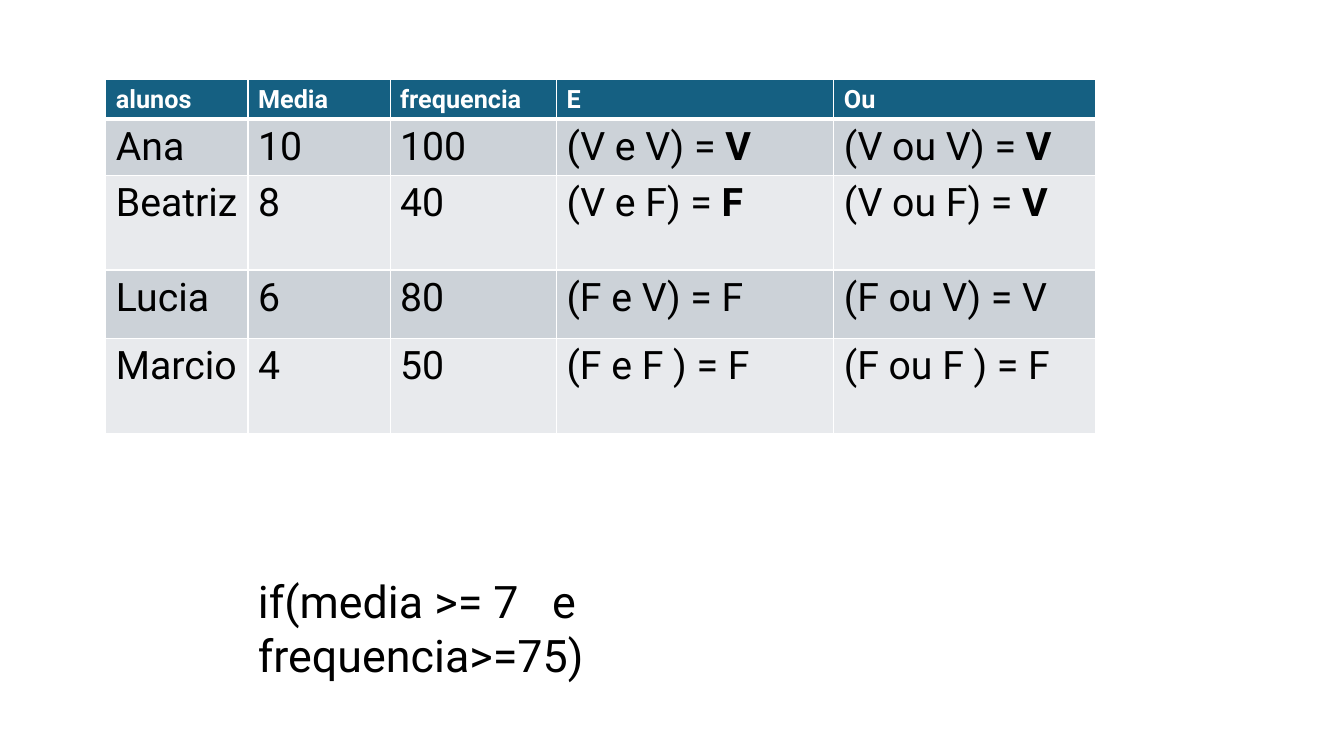
from dataclasses import dataclass

from lxml import etree
from pptx import Presentation, util as u
from pptx.dml.color import RGBColor
from pptx.enum import text
from pptx.oxml import ns

PX = 9144  # EMU in one px, at 100 px to the inch


@dataclass(frozen=True)
class Theme:
    font: str = "Roboto"
    head: str = "156082"
    bands: tuple = ("CCD2D8", "E8EAED")
    white: str = "FFFFFF"
    ink: str = "000000"
    small: int = 18
    body: int = 28
    large: int = 32
    thin: int = 1
    thick: int = 3


class Deck:
    def __init__(self, theme, wide, high):
        self.theme = theme
        self.prs = Presentation()
        self.prs.slide_width, self.prs.slide_height = wide * PX, high * PX
        self.slide = self.prs.slides.add_slide(self.prs.slide_layouts[6])

    def words(self, para, words, size, color, bold=False):
        """Add one styled run to a paragraph."""
        run = para.add_run()
        run.text = words
        style = {"name": self.theme.font, "size": u.Pt(size), "bold": bold}
        for key, value in style.items():
            setattr(run.font, key, value)
        run.font.color.rgb = RGBColor.from_string(color)

    def edge(self, cell, side, width):
        """Draw one white border of a cell; side is L, R, T or B."""
        props = cell._tc.get_or_add_tcPr()
        line = etree.SubElement(props, ns.qn(f"a:ln{side}"), w=str(u.Pt(width)))
        fill = etree.SubElement(line, ns.qn("a:solidFill"))
        etree.SubElement(fill, ns.qn("a:srgbClr"), val=self.theme.white)

    def cell(self, cell, parts, row):
        """Fill one cell; parts are its plain text and its bold ending."""
        t = self.theme
        head = row == 0
        for side in "LRTB":
            heavy = (side, row) in (("B", 0), ("T", 1))
            self.edge(cell, side, t.thick if heavy else t.thin)
        cell.fill.solid()
        back = t.head if head else t.bands[(row - 1) % 2]
        cell.fill.fore_color.rgb = RGBColor.from_string(back)
        size, color = (t.small, t.white) if head else (t.body, t.ink)
        for words, bold in zip(parts, (head, True)):
            self.words(cell.text_frame.paragraphs[0], words, size, color, bold)

    def table(self, left, top, widths, heights, rows):
        box = (left, top, sum(widths), sum(heights))
        frame = self.slide.shapes.add_table(
            len(rows), len(widths), *(n * PX for n in box))
        grid = frame.table
        for col, wide in zip(grid.columns, widths):
            col.width = wide * PX
        for row, high in zip(grid.rows, heights):
            row.height = high * PX
        for r, row in enumerate(rows):
            for c, words in enumerate(row):
                self.cell(grid.cell(r, c), words.split("|"), r)

    def label(self, left, top, wide, high, lines):
        box = self.slide.shapes.add_textbox(
            *(n * PX for n in (left, top, wide, high)))
        frame = box.text_frame
        style = {"word_wrap": True, "auto_size": text.MSO_AUTO_SIZE.NONE}
        for key, value in style.items():
            setattr(frame, key, value)
        para = frame.paragraphs[0]
        for i, words in enumerate(lines):
            if i:
                para.add_line_break()
            self.words(para, words, self.theme.large, self.theme.ink)


# A bar marks where the bold result of a cell begins.
ROWS = [
    ("alunos", "Media", "frequencia", "E", "Ou"),
    ("Ana", "10", "100", "(V e V) = |V", "(V ou V) = |V"),
    ("Beatriz", "8", "40", "(V e F) = |F", "(V ou F) = |V"),
    ("Lucia", "6", "80", "(F e V) = F", "(F ou V) = V"),
    ("Marcio", "4", "50", "(F e F ) = F", "(F ou F ) = F"),
]


def main():
    deck = Deck(Theme(), 1333, 750)
    deck.table(105, 79, (141, 141, 165, 275, 260), (36, 51, 94, 68, 94), ROWS)
    deck.label(246, 564, 684, 64, ("if(media >= 7   e", "frequencia>=75)"))
    deck.prs.save("out.pptx")


if __name__ == "__main__":
    main()
